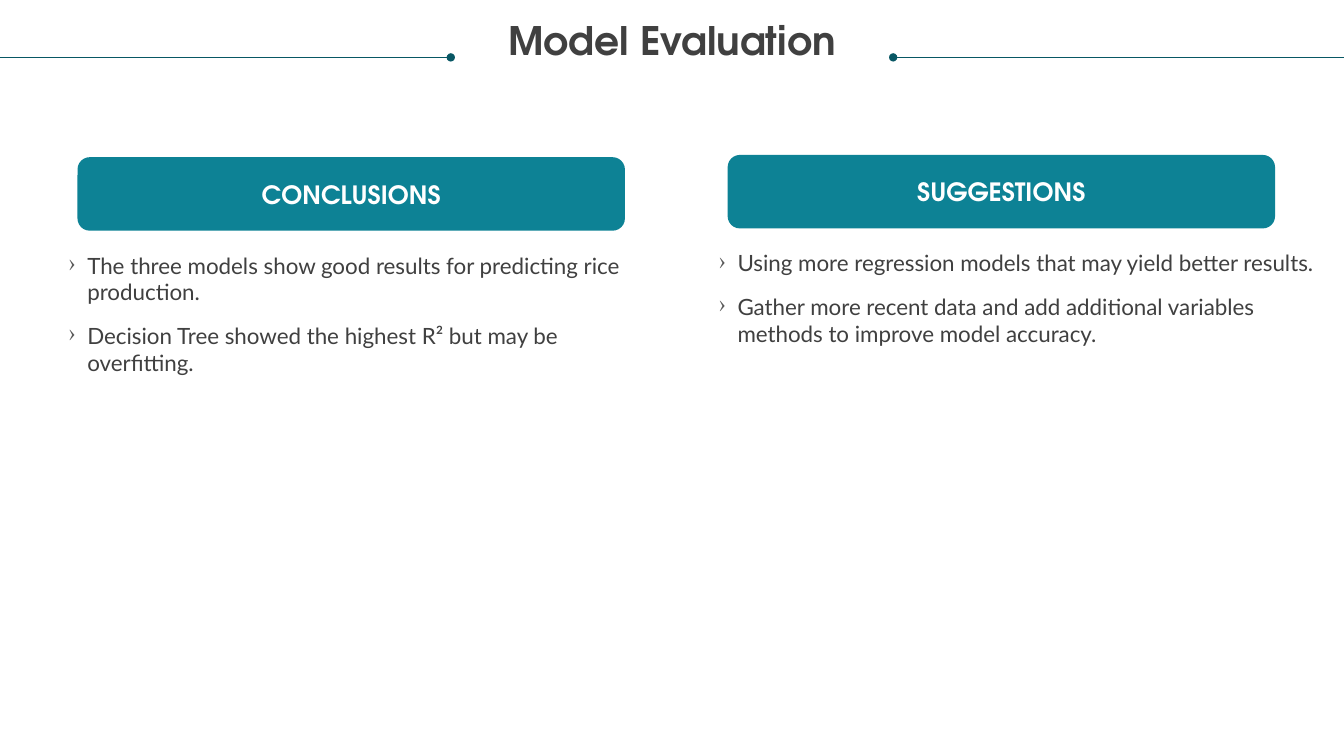
"""Build the Model Evaluation slide with its conclusions and suggestions."""
import pptx
import pptx.dml.color
import pptx.enum.shapes
import pptx.enum.text
import pptx.oxml
import pptx.oxml.ns
import pptx.util
from lxml import etree

Pt = pptx.util.Pt
rgb = pptx.dml.color.RGBColor.from_string
qn = pptx.oxml.ns.qn
align = pptx.enum.text.PP_ALIGN

theme = {
    "rule": "085764", "bar": "0D8295", "text": "404040",
    "bullet": "585858", "bar_text": "FFFFFF",
    "head_font": "TeX Gyre Adventor", "body_font": "Lato",
    "title_size": 28, "bar_size": 18, "body_size": 16,
}


def format_text(p, font, size, color, bold=False):
    for r in p.runs:
        r.font.name = font
        r.font.size = Pt(size)
        r.font.bold = bold
        r.font.color.rgb = rgb(color)


def add_text_box(s, left, top, width, height, text):
    tf = s.shapes.add_textbox(Pt(left), Pt(top), Pt(width), Pt(height)).text_frame
    tf.word_wrap = True
    tf.auto_size = pptx.enum.text.MSO_AUTO_SIZE.SHAPE_TO_FIT_TEXT
    tf.margin_left = tf.margin_top = tf.margin_right = tf.margin_bottom = 0
    tf.text = text
    return tf


prs = pptx.Presentation()
prs.slide_width, prs.slide_height = Pt(960), Pt(540)
s = prs.slides.add_slide(prs.slide_layouts[6])

for outer, inner in [(0, 322), (960, 638)]:
    rule = s.shapes.add_connector(
        pptx.enum.shapes.MSO_CONNECTOR.STRAIGHT, Pt(outer), Pt(41), Pt(inner), Pt(41))
    rule.line.color.rgb = rgb(theme["rule"])
    rule.line.width = Pt(0.5)
    etree.SubElement(rule.line._get_or_add_ln(), qn("a:tailEnd"), type="oval")
    etree.SubElement(rule._element.spPr, qn("a:effectLst"))

tf = add_text_box(s, 18, 15.1, 924, 30.2, "Model Evaluation")
p = tf.paragraphs[0]
p.alignment = align.CENTER
p.line_spacing = 0.9
format_text(p, theme["head_font"], theme["title_size"], theme["text"], True)

columns = [
    (55.4, 112.3, 416.9, "CONCLUSIONS", [
        "The three models show good results for predicting rice production.",
        "Decision Tree showed the highest R² but may be overfitting."]),
    (519.8, 110.7, 428.4, "SUGGESTIONS", [
        "Using more regression models that may yield better results.",
        "Gather more recent data and add additional variables methods to improve model accuracy."]),
]
for left, top, list_width, heading, points in columns:
    bar = s.shapes.add_shape(
        pptx.enum.shapes.MSO_SHAPE.ROUNDED_RECTANGLE, Pt(left), Pt(top), Pt(391), Pt(52.5))
    bar.shadow.inherit = False
    bar.fill.solid()
    bar.fill.fore_color.rgb = rgb(theme["bar"])
    bar.line.fill.background()
    tf = bar.text_frame
    tf.vertical_anchor = pptx.enum.text.MSO_ANCHOR.MIDDLE
    tf.text = heading
    p = tf.paragraphs[0]
    p.alignment = align.CENTER
    format_text(p, theme["head_font"], theme["bar_size"], theme["bar_text"], True)

    tf = add_text_box(s, left - 6.5, top + 67.5, list_width, 70.5, "\n".join(points))
    for p in tf.paragraphs:
        p.alignment = align.LEFT
        p.space_before = Pt(12)
        format_text(p, theme["body_font"], theme["body_size"], theme["text"])
        pPr = p._p.get_or_add_pPr()
        pPr.set("marL", str(Pt(13.5)))
        pPr.set("indent", str(Pt(-13.5)))
        bullet_color = etree.SubElement(pPr, qn("a:buClr"))
        etree.SubElement(bullet_color, qn("a:srgbClr"), val=theme["bullet"])
        etree.SubElement(pPr, qn("a:buChar"), char="›")

prs.save("out.pptx")
